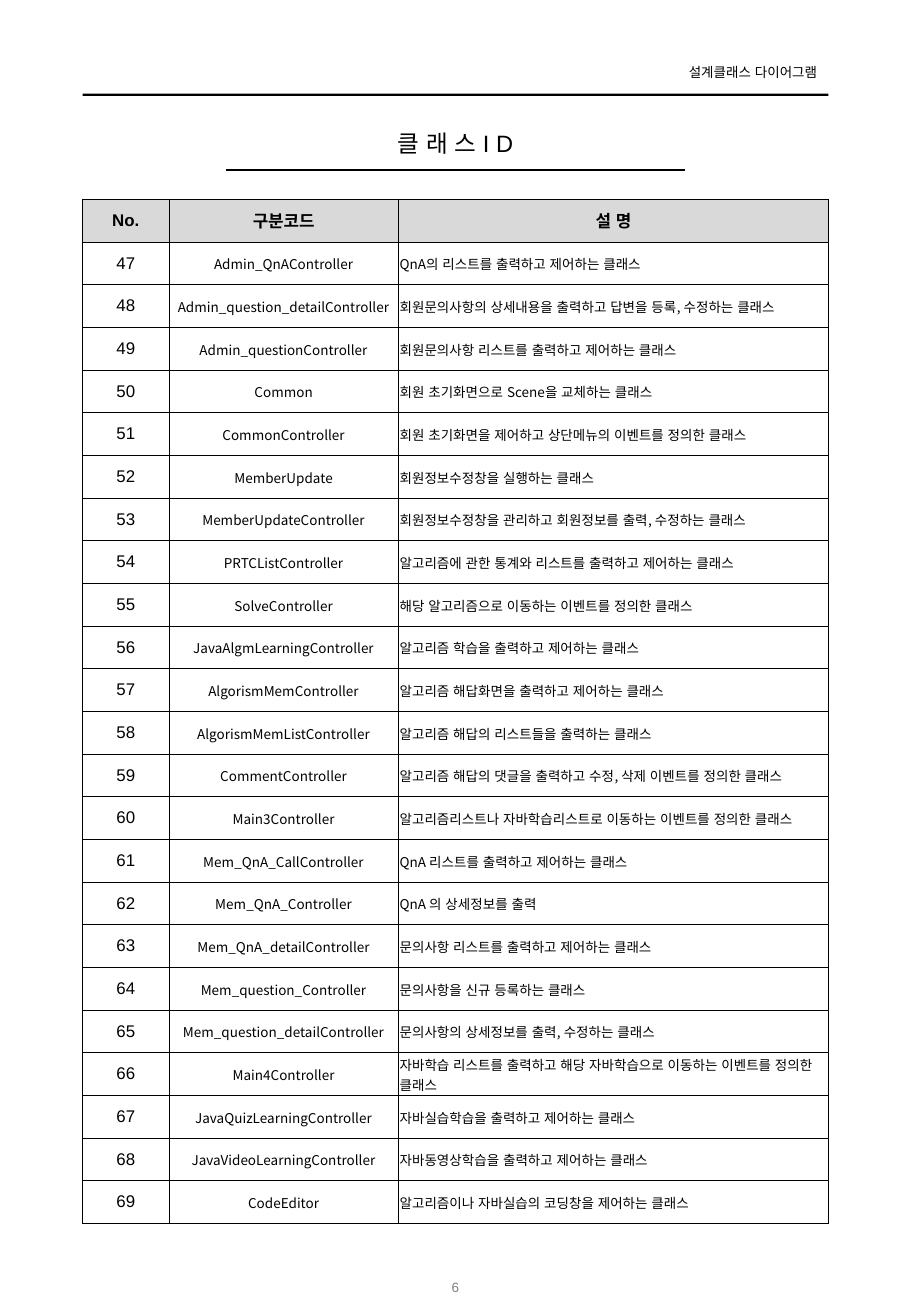
from dataclasses import dataclass

from lxml.etree import SubElement
from pptx import Presentation
from pptx.dml.color import RGBColor
from pptx.enum.lang import MSO_LANGUAGE_ID as Lang
from pptx.enum.shapes import MSO_CONNECTOR as Connector, MSO_SHAPE as Shape
from pptx.enum.text import MSO_ANCHOR as Anchor, MSO_AUTO_SIZE as AutoSize, PP_ALIGN as Align
from pptx.oxml.ns import qn
from pptx.util import Inches, Pt


@dataclass(frozen=True)
class Theme:
    ink: str = "000000"
    muted: str = "808080"
    header_fill: str = "D9D9D9"
    latin: str = "Arial"
    korean: str = "Noto Sans CJK KR"
    title_size: int = 14
    table_size: int = 10
    small_size: int = 8
    rule_width: float = 1
    border_width: float = 0.5


HEADINGS = ("No.", "구분코드", "설 명")
FIRST_NUMBER = 47
CLASSES = [
    ("Admin_QnAController", "QnA의 리스트를 출력하고 제어하는 클래스"),
    ("Admin_question_detailController", "회원문의사항의 상세내용을 출력하고 답변을 등록, 수정하는 클래스"),
    ("Admin_questionController", "회원문의사항 리스트를 출력하고 제어하는 클래스"),
    ("Common", "회원 초기화면으로 Scene을 교체하는 클래스"),
    ("CommonController", "회원 초기화면을 제어하고 상단메뉴의 이벤트를 정의한 클래스"),
    ("MemberUpdate", "회원정보수정창을 실행하는 클래스"),
    ("MemberUpdateController", "회원정보수정창을 관리하고 회원정보를 출력, 수정하는 클래스"),
    ("PRTCListController", "알고리즘에 관한 통계와 리스트를 출력하고 제어하는 클래스"),
    ("SolveController", "해당 알고리즘으로 이동하는 이벤트를 정의한 클래스"),
    ("JavaAlgmLearningController", "알고리즘 학습을 출력하고 제어하는 클래스"),
    ("AlgorismMemController", "알고리즘 해답화면을 출력하고 제어하는 클래스"),
    ("AlgorismMemListController", "알고리즘 해답의 리스트들을 출력하는 클래스"),
    ("CommentController", "알고리즘 해답의 댓글을 출력하고 수정, 삭제 이벤트를 정의한 클래스"),
    ("Main3Controller", "알고리즘리스트나 자바학습리스트로 이동하는 이벤트를 정의한 클래스"),
    ("Mem_QnA_CallController", "QnA 리스트를 출력하고 제어하는 클래스"),
    ("Mem_QnA_Controller", "QnA 의 상세정보를 출력"),
    ("Mem_QnA_detailController", "문의사항 리스트를 출력하고 제어하는 클래스"),
    ("Mem_question_Controller", "문의사항을 신규 등록하는 클래스"),
    ("Mem_question_detailController", "문의사항의 상세정보를 출력, 수정하는 클래스"),
    ("Main4Controller", "자바학습 리스트를 출력하고 해당 자바학습으로 이동하는 이벤트를 정의한 클래스"),
    ("JavaQuizLearningController", "자바실습학습을 출력하고 제어하는 클래스"),
    ("JavaVideoLearningController", "자바동영상학습을 출력하고 제어하는 클래스"),
    ("CodeEditor", "알고리즘이나 자바실습의 코딩창을 제어하는 클래스"),
]

# Horizontal and vertical shares are percentages of the slide's width and height
MARGIN = 9.07
CONTENT_WIDTH = 100 - 2 * MARGIN
COLUMN_SHARES = (9.47, 25.2, 47.2)
DEFAULT_INSETS = (0.1, 0.05, 0.1, 0.05)
TIGHT_INSETS = (0.01, 0.01, 0.01, 0)


class PageBuilder:
    def __init__(self, deck, theme):
        self.deck, self.theme = deck, theme
        self.page = deck.slides.add_slide(deck.slide_layouts[5])

    def across(self, share):
        return round(self.deck.slide_width * share / 100)

    def down(self, share):
        return round(self.deck.slide_height * share / 100)

    def area(self, left, top, width, height):
        return self.across(left), self.down(top), self.across(width), self.down(height)

    def add_text(self, para, text, size, align=Align.CENTER, color=None, font=None, bold=False):
        para.alignment = align
        span = para.add_run()
        span.text = text
        span.font.size, span.font.bold = Pt(size), bold
        span.font.name = font or self.theme.latin
        span.font.language_id = Lang.KOREAN
        span.font.color.rgb = RGBColor.from_string(color or self.theme.ink)
        SubElement(span.font._element, qn("a:ea"), typeface=self.theme.korean)

    def fill_frame(self, box, text, size, insets=DEFAULT_INSETS, anchor=Anchor.TOP, **style):
        frame = box.text_frame
        frame.word_wrap, frame.auto_size = True, AutoSize.NONE
        frame.vertical_anchor = anchor
        (frame.margin_left, frame.margin_top,
         frame.margin_right, frame.margin_bottom) = map(Inches, insets)
        self.add_text(frame.paragraphs[0], text, size, **style)

    def title(self, text, *area):
        box = self.page.shapes.title
        box.left, box.top, box.width, box.height = self.area(*area)
        self.fill_frame(box, text, self.theme.title_size, insets=(0, 0.05, 0, 0.05))

    def label(self, text, *area, **style):
        box = self.page.shapes.add_textbox(*self.area(*area))
        self.fill_frame(box, text, self.theme.small_size, **style)

    def bar(self, *area):
        shape = self.page.shapes.add_shape(Shape.RECTANGLE, *self.area(*area))
        shape.shadow.inherit = False
        shape.fill.solid()
        shape.fill.fore_color.rgb = RGBColor.from_string(self.theme.ink)
        shape.line.fill.background()

    def rule(self, left, right, top):
        line = self.page.shapes.add_connector(
            Connector.STRAIGHT, self.across(left), self.down(top), self.across(right), self.down(top))
        line.line.color.rgb = RGBColor.from_string(self.theme.ink)
        line.line.width = Pt(self.theme.rule_width)
        SubElement(line._element.spPr, qn("a:effectLst"))

    def cell(self, cell, text, size, insets=DEFAULT_INSETS, fill=None, **style):
        cell.vertical_anchor = Anchor.MIDDLE
        (cell.margin_left, cell.margin_top,
         cell.margin_right, cell.margin_bottom) = map(Inches, insets)
        properties = cell._tc.get_or_add_tcPr()
        for side in ("lnL", "lnR", "lnT", "lnB"):
            border = SubElement(properties, qn(f"a:{side}"), w=str(Pt(self.theme.border_width)))
            paint = SubElement(border, qn("a:solidFill"))
            SubElement(paint, qn("a:srgbClr"), val=self.theme.ink)
        if fill:
            cell.fill.solid()
            cell.fill.fore_color.rgb = RGBColor.from_string(fill)
        else:
            cell.fill.background()
        self.add_text(cell.text_frame.paragraphs[0], text, size, **style)

    def class_table(self, *area):
        theme = self.theme
        place = self.area(*area)
        row_count = len(CLASSES) + 1
        table = self.page.shapes.add_table(row_count, len(HEADINGS), *place).table
        table.first_row = table.horz_banding = False
        for column, share in zip(table.columns, COLUMN_SHARES):
            column.width = self.across(share)
        for row in table.rows:
            row.height = place[3] // row_count

        for column, heading in enumerate(HEADINGS):
            self.cell(table.cell(0, column), heading, theme.table_size,
                      fill=theme.header_fill, bold=True)
        for row, (name, description) in enumerate(CLASSES, start=1):
            self.cell(table.cell(row, 0), str(FIRST_NUMBER + row - 1), theme.table_size)
            for column, text, align in ((1, name, Align.CENTER), (2, description, Align.LEFT)):
                self.cell(table.cell(row, column), text, theme.small_size,
                          insets=TIGHT_INSETS, align=align, font=theme.korean)


def main():
    deck = Presentation()
    deck.slide_width, deck.slide_height = Inches(7.5), Inches(10.83)
    theme = Theme()
    builder = PageBuilder(deck, theme)

    # Running header
    builder.bar(MARGIN, 7.11, CONTENT_WIDTH, 0.18)
    builder.label("설계클래스 다이어그램", 72.93, 4.43, 17.87, 2.22,
                  insets=(0.1, 0.05, 0.08, 0.05), align=Align.RIGHT)

    # Title and its underline
    builder.rule(24.8, 75.2, 12.93)
    builder.title("클 래 스 I D", MARGIN, 9.33, CONTENT_WIDTH, 3.14)

    # Page number
    builder.label("6", 43.73, 95.94, 12.53, 3.69, anchor=Anchor.MIDDLE, color=theme.muted)

    # Class list
    builder.class_table(MARGIN, 15.14, CONTENT_WIDTH, 77.84)

    deck.save("out.pptx")


if __name__ == "__main__":
    main()
